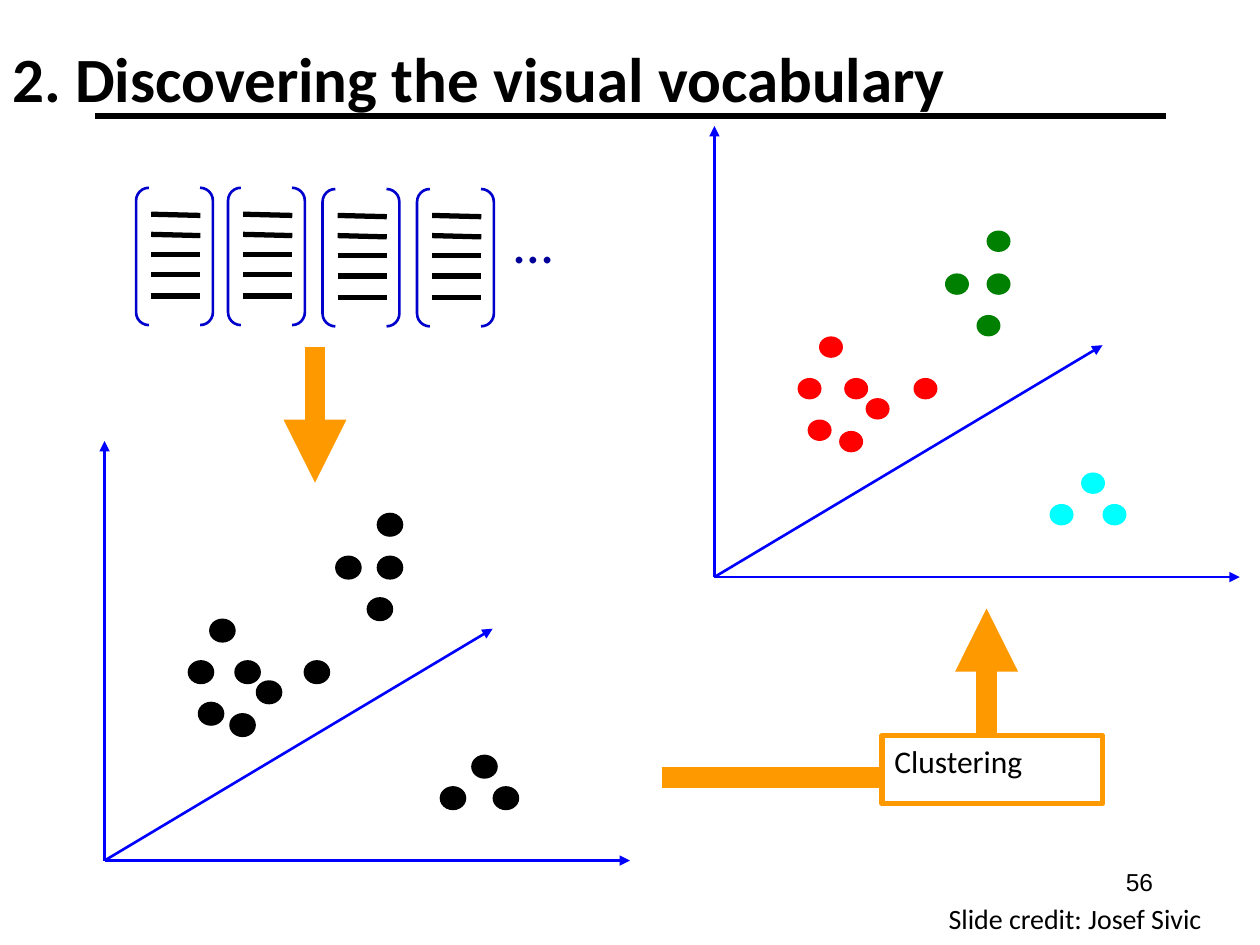
import pptx
import pptx.util
import pptx.dml.color
import pptx.enum.shapes
import pptx.enum.text
import pptx.oxml
import pptx.oxml.ns

Inches = pptx.util.Inches
Shape = pptx.enum.shapes.MSO_SHAPE
Align = pptx.enum.text.PP_ALIGN
Anchor = pptx.enum.text.MSO_ANCHOR

BLUE, ORANGE, BLACK = "0000FF", "FF9900", "000000"
REDS = [(1.87, 5.25), (2.04, 5.41), (1.5, 5.25), (1.83, 5.67),
        (1.58, 5.58), (2.42, 5.25), (1.67, 4.92)]
GREENS = [(3, 4.08), (2.92, 4.75), (2.67, 4.42), (3, 4.42)]
CYANS = [(3.92, 6.25), (3.75, 6), (3.5, 6.25)]
GROUPS = [(REDS, "FF0000"), (GREENS, "008000"), (CYANS, "00FFFF")]


def color(code):
    """Turn a hex string into a colour."""
    return pptx.dml.color.RGBColor.from_string(code)


def add_line(shapes, start, end, code, width, arrow=False):
    """Draw a straight line, with an arrowhead at its end if asked."""
    line = shapes.add_connector(
        pptx.enum.shapes.MSO_CONNECTOR.STRAIGHT,
        *[Inches(n) for n in (*start, *end)])
    line.line.color.rgb = color(code)
    line.line.width = pptx.util.Pt(width)
    qn = pptx.oxml.ns.qn
    if arrow:
        head = pptx.oxml.parse_xml(
            '<a:tailEnd %s type="triangle"/>' % pptx.oxml.ns.nsdecls("a"))
        line.line._get_or_add_ln().append(head)
    props = line._element.spPr
    props.append(props.makeelement(qn("a:effectLst"), {}))
    return line


def add_shape(shapes, kind, box, fill=None, edge=None, width=1.5):
    """Draw a preset shape with a plain fill and edge."""
    shape = shapes.add_shape(kind, *[Inches(n) for n in box])
    shape.shadow.inherit = False
    if fill:
        shape.fill.solid()
        shape.fill.fore_color.rgb = color(fill)
    else:
        shape.fill.background()
    if edge:
        shape.line.color.rgb = color(edge)
        shape.line.width = pptx.util.Pt(width)
    else:
        shape.line.fill.background()
    return shape


def set_text(shape, text, size=18, code=BLACK, font="Calibri", bold=False,
             align=Align.LEFT, anchor=Anchor.TOP):
    """Write formatted text into a shape."""
    frame = shape.text_frame
    frame.word_wrap = True
    frame.vertical_anchor = anchor
    par = frame.paragraphs[0]
    par.alignment = align
    run = par.add_run()
    run.text = text
    run.font.size = pptx.util.Pt(size)
    run.font.name = font
    run.font.bold = bold
    run.font.color.rgb = color(code)


def add_label(shapes, box, text, **style):
    """Add a text box with formatted text."""
    set_text(shapes.add_textbox(*[Inches(n) for n in box]), text, **style)


def add_vector(shapes, left, top):
    """Draw one descriptor: a bracket pair around five bars."""
    group = shapes.add_group_shape().shapes
    add_shape(group, Shape.DOUBLE_BRACKET, (left, top, 0.61, 1.09),
              edge="0000CC")
    for drop, tilt in [(0.21, 0.01), (0.37, 0.01), (0.53, 0),
                       (0.69, 0), (0.86, 0)]:
        add_line(group, (left + 0.12, top + drop),
                 (left + 0.51, top + drop + tilt), BLACK, 3)


def add_axes(shapes, left, base, top):
    """Draw three blue axes from one corner."""
    for end in [(left, top), (left + 4.17, base), (left + 3.08, base - 1.84)]:
        add_line(shapes, (left, base), end, BLUE, 1.5, arrow=True)


def add_dots(shapes, spots, fill, shift=(0, 0), edge=None):
    """Draw one dot at each shifted spot."""
    for left, top in spots:
        box = (left + shift[0], top + shift[1], 0.19, 0.17)
        add_shape(shapes, Shape.OVAL, box, fill, edge)


def main():
    """Build the slide and save it."""
    deck = pptx.Presentation()
    deck.slide_width, deck.slide_height = Inches(10), Inches(7.5)
    shapes = deck.slides.add_slide(deck.slide_layouts[6]).shapes

    add_line(shapes, (0.75, 0.92), (9.25, 0.92), BLACK, 3)
    add_label(shapes, (0, 0.3, 10, 0.62),
              "2. Discovering the visual vocabulary",
              size=36, bold=True, anchor=Anchor.MIDDLE)

    for left, top in [(1.08, 1.49), (1.81, 1.49), (2.56, 1.5), (3.31, 1.5)]:
        add_vector(shapes, left, top)
    add_label(shapes, (3.98, 1.6, 0.65, 0.63), "…", size=32, code="000099")

    add_axes(shapes, 0.83, 6.83, 3.5)
    add_axes(shapes, 5.67, 4.58, 1)
    for spots, fill in GROUPS:
        add_dots(shapes, spots, BLACK, edge=BLACK)
        add_dots(shapes, spots, fill, shift=(4.83, -2.25))

    add_line(shapes, (2.5, 2.75), (2.5, 3.83), ORANGE, 12, arrow=True)
    add_line(shapes, (5.25, 6.17), (7.5, 6.17), ORANGE, 12)
    add_line(shapes, (7.83, 6.17), (7.83, 4.83), ORANGE, 12, arrow=True)
    step = add_shape(shapes, Shape.RECTANGLE, (7, 5.84, 1.75, 0.54),
                     "FFFFFF", ORANGE, 3)
    set_text(step, "Clustering")

    add_label(shapes, (7.43, 7.11, 2.48, 0.37), "Slide credit: Josef Sivic",
              size=16)
    add_label(shapes, (7.17, 6.83, 2.08, 0.5), "56", size=14, font="Arial",
              align=Align.RIGHT)
    deck.save("out.pptx")


if __name__ == "__main__":
    main()
